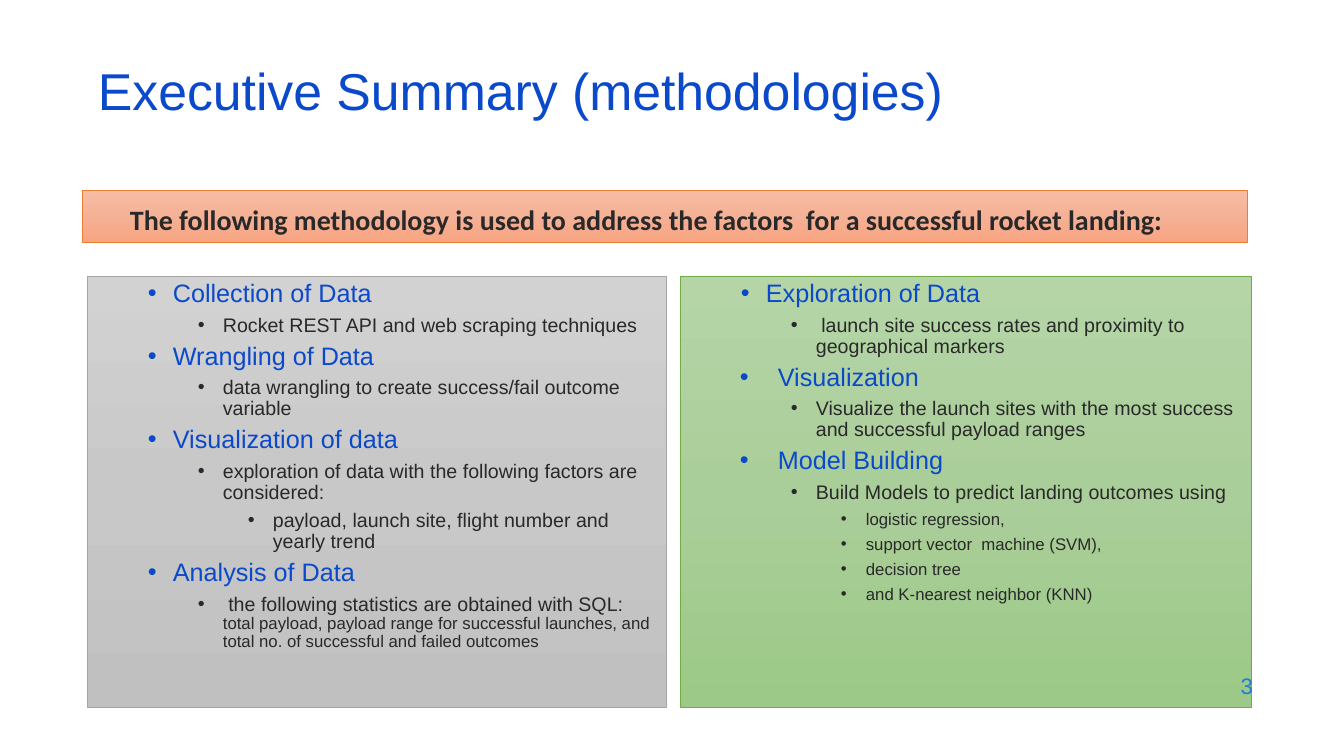
from copy import deepcopy
from dataclasses import dataclass

from lxml.etree import SubElement
from pptx import Presentation
from pptx.dml.color import RGBColor as Rgb
from pptx.enum.shapes import MSO_SHAPE as Shape
from pptx.enum.text import MSO_ANCHOR as Anchor, PP_ALIGN as Align
from pptx.oxml.ns import qn
from pptx.util import Pt

PX = 914400 / 100.8


@dataclass(frozen=True)
class Theme:
    sans: str = "Arial"
    lead: str = "Calibri"
    blue: str = "0B49CB"
    dark: str = "292929"
    page: str = "1C7DDB"
    title: int = 37
    banner: int = 20
    head: int = 18
    num: int = 16
    body: int = 14
    small: int = 12
    # Gradient stops from top to bottom, then the outline
    orange: tuple = ("F7BDA5", "F5B196", "F8A582", "ED7D31")
    grey: tuple = ("D2D2D2", "C8C8C8", "C0C0C0", "A5A5A5")
    green: tuple = ("B5D5A7", "AACE9A", "9CC987", "70AD47")


T = Theme()

# Each item: level, text, size, and options for the paragraph
LEFT = [
    (1, "Collection of Data", T.head, {}),
    (2, "Rocket REST API and web scraping techniques", T.body, {}),
    (1, "Wrangling of Data", T.head, {}),
    (2, "data wrangling to create success/fail outcome variable", T.body, {}),
    (1, "Visualization of data", T.head, {}),
    (2, "exploration of data with the following factors are considered:", T.body, {}),
    (3, "payload, launch site, flight number and yearly trend", T.body, {}),
    (1, "Analysis of Data", T.head, {}),
    (2, " the following statistics are obtained with SQL: ", T.body,
     {"tail": "total payload, payload range for successful launches, and "
              "total no. of successful and failed outcomes"}),
]
RIGHT = [
    (1, "Exploration of Data", T.head, {}),
    (2, " launch site success rates and proximity to geographical markers", T.body, {}),
    (1, "Visualization", T.head, {"left": 88, "hang": 38}),
    (2, "Visualize the launch sites with the most success and successful payload ranges",
     T.body, {}),
    (1, "Model Building", T.head, {"left": 88, "hang": 38}),
    (2, "Build Models to predict landing outcomes using", T.body, {}),
    (3, "logistic regression,", T.small, {}),
    (3, "support vector  machine (SVM),", T.small, {}),
    (3, "decision tree", T.small, {}),
    (3, "and K-nearest neighbor (KNN)", T.small, {}),
]


def emu(px):
    return round(px * PX)


def write(para, text, size, color=T.dark, font=T.sans, bold=False):
    run = para.add_run()
    run.text = text
    run.font.size = Pt(size)
    run.font.name = font
    run.font.bold = bold
    run.font.color.rgb = Rgb.from_string(color)


def panel(slide, box, tones):
    """Draw an outlined rectangle with a vertical gradient."""
    *stops, edge = tones
    rect = slide.shapes.add_shape(Shape.RECTANGLE, *map(emu, box))
    rect.shadow.inherit = False
    rect.line.color.rgb = Rgb.from_string(edge)
    rect.line.width = Pt(0.5)
    rect.fill.gradient()
    rect.fill.gradient_angle = 270
    first = next(rect._element.spPr.iter(qn("a:gs")))
    first.addnext(deepcopy(first))
    for i, (stop, tone) in enumerate(zip(rect.fill.gradient_stops, stops)):
        stop.position = i / 2
        stop.color.rgb = Rgb.from_string(tone)
    rect.text_frame.word_wrap = True
    return rect.text_frame


def label(slide, box):
    frame = slide.shapes.add_textbox(*map(emu, box)).text_frame
    frame.word_wrap = True
    frame.vertical_anchor = Anchor.MIDDLE
    return frame.paragraphs[0]


def bullet(para, level, left, hang):
    para.level = level
    para.alignment = Align.LEFT
    para.line_spacing = 0.9
    props = para._p.get_or_add_pPr()
    props.set("marL", str(emu(left)))
    props.set("indent", str(emu(-hang)))
    SubElement(props, qn("a:buFont")).set("typeface", T.sans)
    SubElement(props, qn("a:buChar")).set("char", "•")


def outline(frame, items):
    """Fill a panel with a multi-level bullet list."""
    frame.vertical_anchor = Anchor.TOP
    for i, (level, text, size, opts) in enumerate(items):
        para = frame.add_paragraph() if i else frame.paragraphs[0]
        bullet(para, level, opts.get("left", 26 + 50 * level), opts.get("hang", 25))
        para.space_before = Pt(5 if i else 0)
        write(para, text, size, color=T.blue if level == 1 else T.dark)
        if "tail" in opts:
            write(para, opts["tail"], T.small)


def main():
    deck = Presentation()
    deck.slide_width, deck.slide_height = emu(1344), emu(756)
    slide = deck.slides.add_slide(deck.slide_layouts[6])

    # Banner
    frame = panel(slide, (82, 190, 1165, 52), T.orange)
    frame.vertical_anchor = Anchor.BOTTOM
    para = frame.paragraphs[0]
    para.alignment = Align.LEFT
    para.line_spacing = 0.9
    para._p.get_or_add_pPr().set("marL", str(emu(38)))
    write(para, "The following methodology is used to address the factors  for a "
          "successful rocket landing:", T.banner, font=T.lead, bold=True)

    # Two lists
    outline(panel(slide, (87, 276, 579, 431), T.grey), LEFT)
    outline(panel(slide, (680, 276, 571, 431), T.green), RIGHT)

    # Page number
    para = label(slide, (961, 664, 302, 44))
    para.alignment = Align.RIGHT
    para.space_after = Pt(6)
    write(para, "3", T.num, color=T.page)

    # Title
    para = label(slide, (88, 66, 1159, 60))
    para.line_spacing = 0.8
    write(para, "Executive Summary (methodologies)", T.title, color=T.blue)

    deck.save("out.pptx")


if __name__ == "__main__":
    main()
